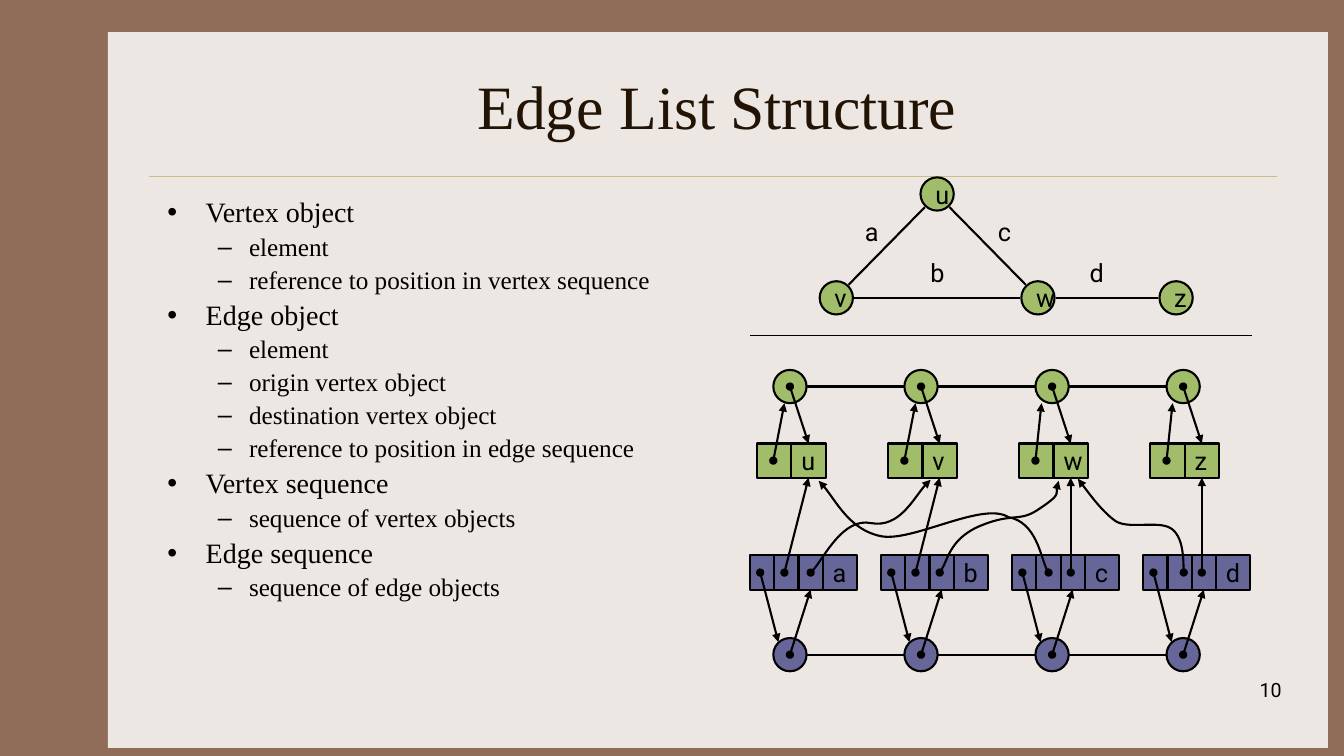
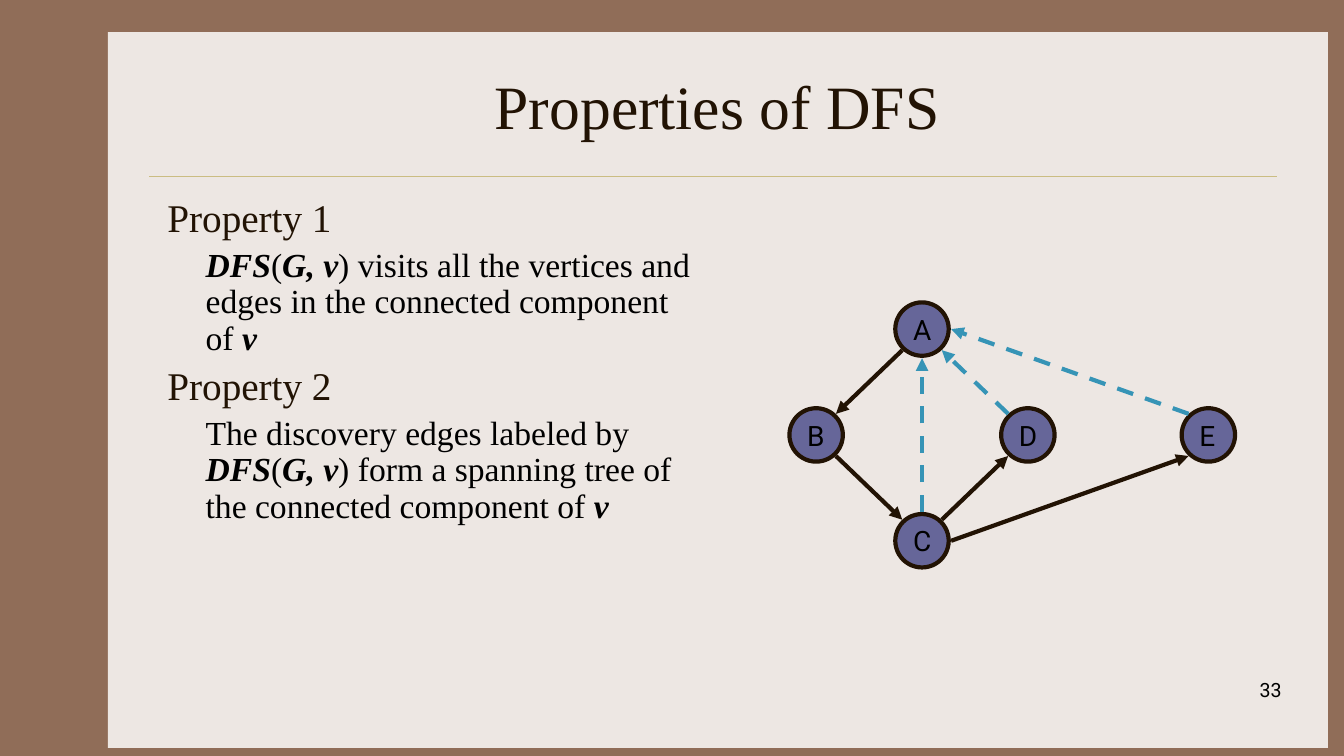
"""Builds two lecture slides on the edge list structure and depth-first search."""
import pptx
import pptx.util
import pptx.dml.color
import pptx.enum.dml
import pptx.enum.shapes
import pptx.enum.text
import pptx.oxml.ns
from lxml import etree

Inches, Pt = pptx.util.Inches, pptx.util.Pt
RGB = pptx.dml.color.RGBColor
SHAPE = pptx.enum.shapes.MSO_SHAPE
ALIGN = pptx.enum.text.PP_ALIGN
qn = pptx.oxml.ns.qn

BROWN, PAPER, GOLD = RGB(0x90, 0x6D, 0x58), RGB(0xED, 0xE7, 0xE3), RGB(0xCB, 0xBD, 0x83)
DARK, BLACK = RGB(0x22, 0x13, 0x04), RGB(0, 0, 0)
GREEN, PURPLE, BLUE = RGB(0xA1, 0xBD, 0x69), RGB(0x66, 0x66, 0x99), RGB(0x36, 0x94, 0xB6)
SERIF, SANS = "Times New Roman", "Roboto"
DISCOVERY, BACK = (DARK, False), (BLUE, True)

OUTLINE = [
    ("Vertex object", ["element", "reference to position in vertex sequence"]),
    ("Edge object", ["element", "origin vertex object", "destination vertex object",
                     "reference to position in edge sequence"]),
    ("Vertex sequence", ["sequence of vertex objects"]),
    ("Edge sequence", ["sequence of edge objects"]),
]
PROPERTIES = [
    ("Property 1", [("DFS", True), ("(", False), ("G, v", True),
                    (") visits all the vertices and edges in the connected component of ", False),
                    ("v", True)]),
    ("Property 2", [("The discovery edges labeled by ", False), ("DFS", True), ("(", False),
                    ("G, v", True), (") form a spanning tree of the connected component of ", False),
                    ("v", True)]),
]

SAMPLE_VERTICES = {"u": (9.13, 1.76), "v": (8.13, 2.79), "w": (10.13, 2.79), "z": (11.5, 2.79)}
SAMPLE_EDGES = [("u", (1, 1), "w", (-1, -1)), ("u", (-1, 1), "v", (1, -1)),
                ("w", (-1, 0), "v", (1, 0)), ("z", (-1, 0), "w", (1, 0))]
EDGE_LABELS = {"a": (8.48, 2.1), "c": (9.8, 2.1), "b": (9.13, 2.5), "d": (10.71, 2.5)}

COLUMN_STEP, NODE, BOX, CELL = 1.3, 0.33, 0.34, 0.24
NODE_LEFT, VERTEX_LEFT, EDGE_LEFT = 7.67, 7.51, 7.44
VERTEX_NODE_TOP, VERTEX_TOP, EDGE_TOP, EDGE_NODE_TOP = 3.67, 4.4, 5.51, 6.33
COLUMNS = [("u", "a", 0.11, 0.34), ("v", "b", 0.11, 0.34),
           ("w", "c", 0.06, 0.58), ("z", "d", 0.06, 0.58)]
CURVES = [
    [(8.04, 5.68), (8.14, 5.6), (8.36, 5.13), (8.64, 5.19), (8.92, 5.24), (9.11, 4.85), (9.23, 4.76)],
    [(9.32, 5.68), (9.39, 5.6), (9.43, 5.33), (9.74, 5.21), (10.06, 5.08), (10.11, 5.19),
     (10.32, 5.04), (10.53, 4.9), (10.46, 4.83), (10.5, 4.77)],
    [(10.4, 5.68), (10.33, 5.59), (10.28, 5.18), (10, 5.13), (9.75, 4.97), (9.05, 5.38),
     (8.74, 5.32), (8.43, 5.26), (8.25, 4.89), (8.12, 4.77)],
    [(11.74, 5.68), (11.74, 5.68), (11.74, 5.32), (11.61, 5.24), (11.48, 5.16), (11.17, 5.26),
     (11.05, 5.16), (10.92, 5.06), (10.76, 4.84), (10.69, 4.75)],
]

DFS_VERTICES = {"D": (9.93, 4.05), "B": (7.83, 4.05), "A": (8.88, 3), "C": (8.88, 5.1),
                "E": (11.72, 4.05)}
DFS_EDGES = [
    ("A", (-1, 1), "B", (1, -1), DISCOVERY), ("B", (1, 1), "C", (-1, -1), DISCOVERY),
    ("C", (1, -1), "D", (-1, 1), DISCOVERY), ("C", (1, 0), "E", (-1, 1), DISCOVERY),
    ("D", (-1, -1), "A", (1, 1), BACK), ("C", (0, -1), "A", (0, 1), BACK),
    ("E", (-1, -1), "A", (1, 0), BACK),
]


def style_font(font, size, color, face):
    font.size, font.name, font.color.rgb = Pt(size), face, color


def write_label(shape, text, size):
    frame = shape.text_frame
    frame.text, frame.word_wrap = text, False
    frame.paragraphs[0].alignment = ALIGN.LEFT
    style_font(frame.paragraphs[0].runs[0].font, size, BLACK, SANS)


def add_box(slide, kind, box, fill, outline=BLACK, weight=1.5, text="", size=18):
    shape = slide.shapes.add_shape(kind, *map(Inches, box))
    shape.shadow.inherit = False
    shape.fill.solid()
    shape.fill.fore_color.rgb = fill
    if outline is None:
        shape.line.fill.background()
    else:
        shape.line.color.rgb, shape.line.width = outline, Pt(weight)
    if text:
        write_label(shape, text, size)
    return shape


def add_ends(shape, head, tail):
    stroke = shape.element.find(".//" + qn("a:ln"))
    for tag, kind in (("a:headEnd", head), ("a:tailEnd", tail)):
        if kind:
            etree.SubElement(stroke, qn(tag), type=kind)


def add_line(slide, start, end, color=BLACK, weight=1.5, head=None, tail=None, dashed=False):
    line = slide.shapes.add_connector(pptx.enum.shapes.MSO_CONNECTOR.STRAIGHT,
                                      *map(Inches, (*start, *end)))
    line.line.color.rgb, line.line.width = color, Pt(weight)
    if dashed:
        line.line.dash_style = pptx.enum.dml.MSO_LINE.DASH
    add_ends(line, head, tail)
    etree.SubElement(line.element.spPr, qn("a:effectLst"))
    return line


def add_pointer(slide, start, end):
    return add_line(slide, start, end, head="oval", tail="triangle")


def add_curve(slide, points):
    start, *rest = [tuple(map(Inches, point)) for point in points]
    builder = slide.shapes.build_freeform(*start)
    builder.add_line_segments(rest, close=False)
    curve = builder.convert_to_shape()
    curve.shadow.inherit = False
    curve.fill.background()
    curve.line.color.rgb, curve.line.width = BLACK, Pt(1.5)
    add_ends(curve, "oval", "triangle")
    outline = curve.element.find(".//" + qn("a:path"))
    segments = outline.findall(qn("a:lnTo"))
    for first in range(0, len(segments), 3):
        bezier = etree.SubElement(outline, qn("a:cubicBezTo"))
        for segment in segments[first:first + 3]:
            bezier.append(segment[0])
            outline.remove(segment)


def port(corner, diameter, direction):
    """Returns the point where an edge meets a round vertex."""
    radius = diameter / 2
    reach = (0.74, 0.79) if all(direction) else (1.09, 1.09)
    return [c + radius * (1 + d * r) for c, d, r in zip(corner, direction, reach)]


def add_vertices(slide, vertices, diameter, fill, outline, weight, size):
    for name, corner in vertices.items():
        add_box(slide, SHAPE.OVAL, (*corner, diameter, diameter), fill, outline, weight, name, size)


def add_paragraph(body, runs, size, color, margin, indent, bullet=None, level=0):
    frame = body.text_frame
    first = not frame.paragraphs[0].runs
    paragraph = frame.paragraphs[0] if first else frame.add_paragraph()
    paragraph.level = level
    properties = paragraph._p.get_or_add_pPr()
    properties.set("marL", str(Inches(margin)))
    properties.set("indent", str(Inches(indent)))
    if bullet:
        etree.SubElement(properties, qn("a:buChar"), char=bullet)
    else:
        etree.SubElement(properties, qn("a:buNone"))
    paragraph.line_spacing = 0.9
    paragraph.space_before = Pt(0 if first else round(size * 0.23, 1))
    for text, emphasis in runs:
        run = paragraph.add_run()
        run.text = text
        style_font(run.font, size, color, SERIF)
        run.font.bold = run.font.italic = emphasis


def prepare_layout(deck):
    deck.slide_master.background.fill.solid()
    deck.slide_master.background.fill.fore_color.rgb = BROWN
    layout = deck.slide_layouts[1]
    for index, box in ((0, (1.56, 0.42, 11.11, 1.25)), (1, (1.56, 1.92, 5.44, 4.5))):
        holder = layout.placeholders[index]
        holder.left, holder.top, holder.width, holder.height = map(Inches, box)
    return layout


def move_frame_to_master(deck, slide):
    panel = add_box(slide, SHAPE.RECTANGLE, (1.07, 0.32, 12.1, 7.1), PAPER, None)
    rule = add_line(slide, (1.48, 1.75), (12.67, 1.75), GOLD, 0.25)
    for place, part in enumerate((panel, rule), 2):
        deck.slide_master.shapes.element.insert(place, part.element)


def add_slide(deck, layout, title, number):
    slide = deck.slides.add_slide(layout)
    heading = slide.shapes.title.text_frame
    heading.text = title
    heading.vertical_anchor = pptx.enum.text.MSO_ANCHOR.MIDDLE
    heading.paragraphs[0].alignment = ALIGN.CENTER
    style_font(heading.paragraphs[0].runs[0].font, 44, DARK, SERIF)
    body = slide.placeholders[1]
    body.text_frame.auto_size = pptx.enum.text.MSO_AUTO_SIZE.NONE
    page = slide.shapes.add_textbox(*map(Inches, (10.03, 6.68, 2.78, 0.5)))
    write_label(page, str(number), 14)
    page.text_frame.word_wrap = True
    page.text_frame.paragraphs[0].alignment = ALIGN.RIGHT
    return slide, body


def draw_sample_graph(slide):
    add_vertices(slide, SAMPLE_VERTICES, NODE, GREEN, BLACK, 1.5, 18)
    for source, leave, target, enter in SAMPLE_EDGES:
        add_line(slide, port(SAMPLE_VERTICES[source], NODE, leave),
                 port(SAMPLE_VERTICES[target], NODE, enter))
    for name, corner in EDGE_LABELS.items():
        write_label(slide.shapes.add_textbox(*map(Inches, (*corner, 0.34, 0.4))), name, 18)
    add_line(slide, (7.44, 3.33), (12.42, 3.33), weight=0.75)


def draw_edge_list(slide):
    last = NODE_LEFT + COLUMN_STEP * (len(COLUMNS) - 1)
    for top in (VERTEX_NODE_TOP, EDGE_NODE_TOP):
        middle = top + NODE / 2
        add_line(slide, (last, middle), (NODE_LEFT + NODE, middle))
    for column, (vertex, edge, lean, link) in enumerate(COLUMNS):
        shift = column * COLUMN_STEP
        node, record, cells = NODE_LEFT + shift, VERTEX_LEFT + shift, EDGE_LEFT + shift
        center = node + NODE / 2
        add_box(slide, SHAPE.OVAL, (node, VERTEX_NODE_TOP, NODE, NODE), GREEN)
        add_box(slide, SHAPE.OVAL, (node, EDGE_NODE_TOP, NODE, NODE), PURPLE)
        add_box(slide, SHAPE.RECTANGLE, (record, VERTEX_TOP, BOX, BOX), GREEN)
        vertex_box = add_box(slide, SHAPE.RECTANGLE, (record + BOX, VERTEX_TOP, BOX, BOX), GREEN,
                             text=vertex)
        for place in range(3):
            position_cell = add_box(slide, SHAPE.RECTANGLE,
                                    (cells + place * CELL, EDGE_TOP, CELL, BOX), PURPLE)
        add_box(slide, SHAPE.RECTANGLE, (cells + 3 * CELL, EDGE_TOP, BOX, BOX), PURPLE, text=edge)
        dot = EDGE_TOP + BOX / 2
        add_pointer(slide, (node, VERTEX_TOP + BOX / 2), (node + lean, VERTEX_NODE_TOP + NODE))
        add_pointer(slide, (cells + 0.1, dot), (cells + 0.28, 6.37))
        for start, box, side in (((center, VERTEX_NODE_TOP + NODE / 2), vertex_box, 0),
                                 ((cells + link, dot), vertex_box, 2),
                                 ((center, EDGE_NODE_TOP + NODE / 2), position_cell, 2)):
            add_pointer(slide, start, start).end_connect(box, side)
    for points in CURVES:
        add_curve(slide, points)


def draw_dfs_graph(slide):
    diameter = 0.53
    add_vertices(slide, DFS_VERTICES, diameter, PURPLE, DARK, 3, 20)
    for source, leave, target, enter, (color, dashed) in DFS_EDGES:
        add_line(slide, port(DFS_VERTICES[source], diameter, leave),
                 port(DFS_VERTICES[target], diameter, enter), color, 3, tail="triangle", dashed=dashed)


def main():
    deck = pptx.Presentation()
    deck.slide_width, deck.slide_height = Inches(13.33), Inches(7.5)
    layout = prepare_layout(deck)

    structure, body = add_slide(deck, layout, "Edge List Structure", 10)
    move_frame_to_master(deck, structure)
    for topic, details in OUTLINE:
        add_paragraph(body, [(topic, False)], 20, BLACK, 0.38, -0.38, "•")
        for detail in details:
            add_paragraph(body, [(detail, False)], 18, BLACK, 0.81, -0.31, "–", 1)
    draw_sample_graph(structure)
    draw_edge_list(structure)

    properties, body = add_slide(deck, layout, "Properties of DFS", 33)
    for name, statement in PROPERTIES:
        add_paragraph(body, [(name, False)], 28, DARK, 0, 0)
        add_paragraph(body, statement, 24, BLACK, 0.38, 0)
    draw_dfs_graph(properties)
    deck.save("out.pptx")


if __name__ == "__main__":
    main()
